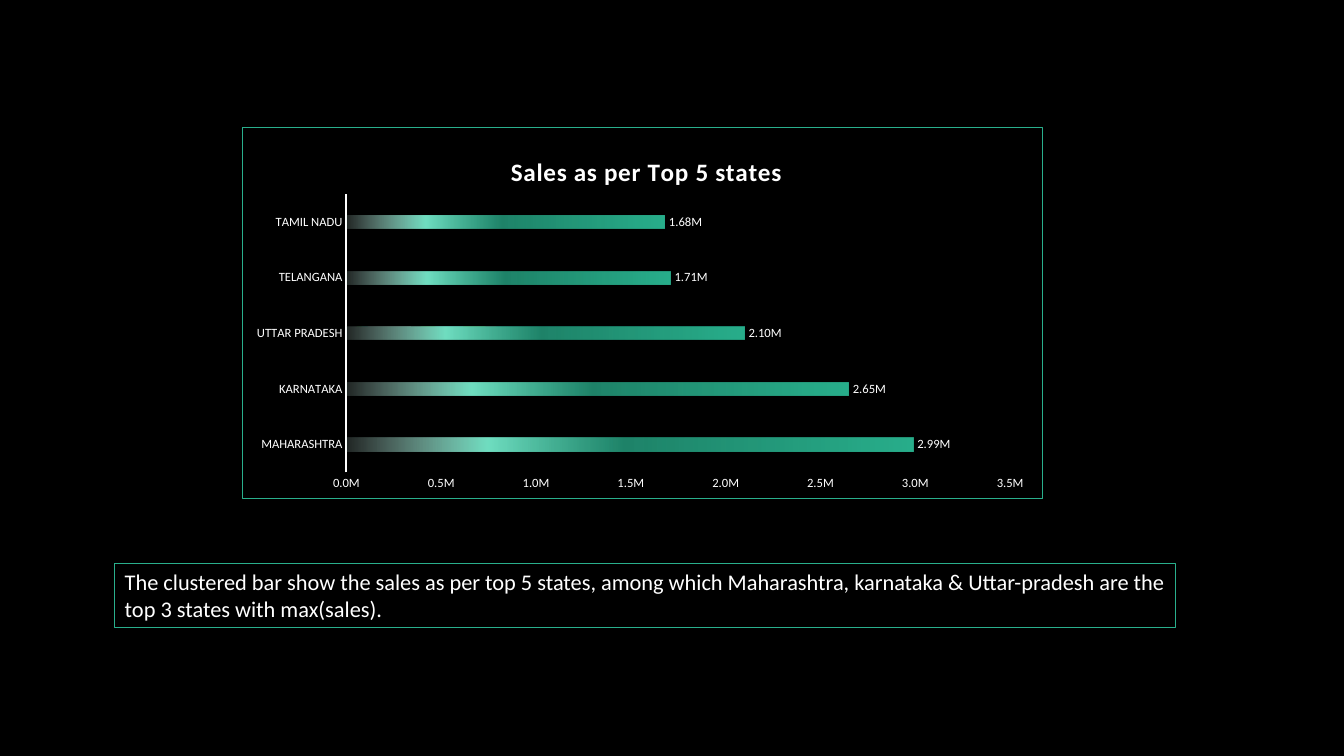
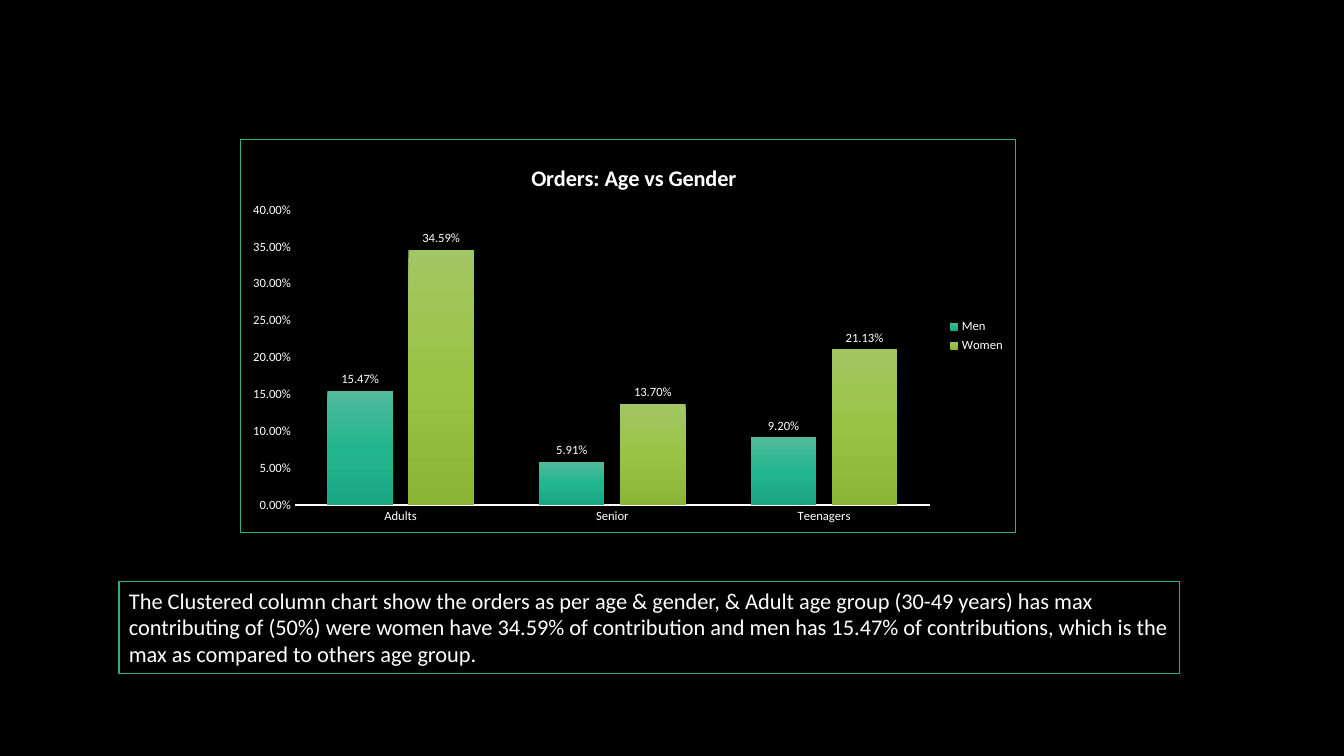
from dataclasses import dataclass

from pptx import Presentation
from pptx.chart.data import CategoryChartData
from pptx.dml.color import RGBColor
from pptx.enum import chart as ch, shapes, text
from pptx.oxml import ns, parse_xml
from pptx.util import Pt


@dataclass(frozen=True)
class Theme:
    font: str = "Calibri"
    back: str = "000000"
    ink: str = "FFFFFF"
    edge: str = "29AF8C"
    fade: tuple = ((0, "29AF8C", 100), (51, "29AF8C", 75),
                   (75, "70DEC1", 100), (100, "CFF4EA", 15))
    teal: tuple = ((0, "52BA9A", 100), (50, "22B68F", 100), (100, "19A782", 100))
    lime: tuple = ((0, "A2C664", 100), (50, "99C443", 100), (100, "8AB535", 100))
    note: int = 16
    base: int = 10
    small: int = 9
    thin: float = 0.75


class Deck:
    def __init__(self, theme):
        self.theme = theme
        self.prs = Presentation()
        self.prs.slide_width, self.prs.slide_height = Pt(960), Pt(540)
        self.slide = None

    def page(self):
        self.slide = self.prs.slides.add_slide(self.prs.slide_layouts[6])
        fill = self.slide.background.fill
        fill.solid()
        fill.fore_color.rgb = RGBColor.from_string(self.theme.back)

    def style(self, font, size, bold=False):
        font.name, font.size, font.bold = self.theme.font, Pt(size), bold
        font.color.rgb = RGBColor.from_string(self.theme.ink)

    def note(self, words, box):
        rect = self.slide.shapes.add_shape(shapes.MSO_SHAPE.RECTANGLE, *map(Pt, box))
        rect.shadow.inherit = False
        rect.fill.background()
        rect.line.color.rgb = RGBColor.from_string(self.theme.edge)
        rect.line.width = Pt(self.theme.thin)
        frame = rect.text_frame
        frame.word_wrap = True
        frame.auto_size = text.MSO_AUTO_SIZE.SHAPE_TO_FIT_TEXT
        frame.vertical_anchor = text.MSO_ANCHOR.TOP
        para = frame.paragraphs[0]
        para.alignment = text.PP_ALIGN.LEFT
        run = para.add_run()
        run.text = words
        self.style(run.font, self.theme.note)

    def chart(self, kind, box, cats, rows, gap, lap):
        data = CategoryChartData()
        data.categories = cats
        for name, vals, _ in rows:
            data.add_series(name, vals)
        chart = self.slide.shapes.add_chart(kind, *map(Pt, box), data).chart
        self.style(chart.font, self.theme.base)
        chart.has_legend = False
        self.frame(chart)
        plot = chart.plots[0]
        plot.gap_width, plot.overlap = gap, lap
        plot.vary_by_categories = False
        return chart

    def frame(self, chart):
        root = chart.element
        root.find(ns.qn("c:chart")).addnext(parse_xml(
            f'<c:spPr {ns.nsdecls("c", "a")}><a:noFill/>'
            f'<a:ln w="{Pt(self.theme.thin)}"><a:solidFill>'
            f'<a:srgbClr val="{self.theme.edge}"/></a:solidFill></a:ln></c:spPr>'))

    def place(self, part, **spots):
        modes = {f"{key}Mode": "edge" for key in "xy"}
        target = {"layoutTarget": "inner"} if "w" in spots else {}
        body = "".join(f'<c:{key} val="{val}"/>'
                       for key, val in {**target, **modes, **spots}.items())
        part.find(ns.qn("c:layout")).append(parse_xml(
            f'<c:manualLayout {ns.nsdecls("c")}>{body}</c:manualLayout>'))

    def title(self, chart, words, size, spot, track=0):
        title = chart.chart_title
        run = title.text_frame.paragraphs[0].add_run()
        run.text = words
        self.style(run.font, size, True)
        run.font._element.set("spc", str(track))
        title.include_in_layout = False
        self.place(title._element, x=spot[0], y=spot[1])

    def area(self, chart, x, y, w, h):
        part = chart.element.find(".//" + ns.qn("c:plotArea"))
        if part.find(ns.qn("c:layout")) is None:
            part.insert(0, parse_xml(f'<c:layout {ns.nsdecls("c")}/>'))
        self.place(part, x=x, y=y, w=w, h=h)

    def axes(self, chart, width, top, step, form):
        cat, val = chart.category_axis, chart.value_axis
        for axis in (cat, val):
            axis.has_major_gridlines = False
            axis.major_tick_mark = axis.minor_tick_mark = ch.XL_TICK_MARK.NONE
            self.style(axis.tick_labels.font, self.theme.small)
        cat.format.line.color.rgb = RGBColor.from_string(self.theme.ink)
        cat.format.line.width = Pt(width)
        val.format.line.fill.background()
        val.minimum_scale, val.maximum_scale, val.major_unit = 0, top, step
        val.tick_labels.number_format = form
        val.tick_labels.number_format_is_linked = False

    def bars(self, chart, rows, angle, form):
        for series, (_, _, stops) in zip(chart.plots[0].series, rows):
            body = "".join(
                f'<a:gs pos="{pos * 1000}"><a:srgbClr val="{tone}">'
                f'<a:alpha val="{alpha * 1000}"/></a:srgbClr></a:gs>'
                for pos, tone, alpha in stops)
            series._element.get_or_add_spPr().append(parse_xml(
                f'<a:gradFill {ns.nsdecls("a")}><a:gsLst>{body}</a:gsLst>'
                f'<a:lin ang="{angle * 60000}" scaled="0"/></a:gradFill>'))
            series.invert_if_negative = False
            tags = series.data_labels
            tags.show_value = True
            tags.position = ch.XL_LABEL_POSITION.OUTSIDE_END
            tags.number_format = form
            tags.number_format_is_linked = False
            self.style(tags.font, self.theme.small)

    def legend(self, chart):
        chart.has_legend = True
        chart.legend.position = ch.XL_LEGEND_POSITION.RIGHT
        chart.legend.include_in_layout = False
        self.style(chart.legend.font, self.theme.small)


def states(deck):
    deck.page()
    rows = [("Series 1", (2990000, 2650000, 2100000, 1710000, 1680000), deck.theme.fade)]
    cats = ["MAHARASHTRA", "KARNATAKA", "UTTAR PRADESH", "TELANGANA", "TAMIL NADU"]
    chart = deck.chart(ch.XL_CHART_TYPE.BAR_CLUSTERED, (172.8, 90.7, 572, 265.7),
                       cats, rows, 326, -58)
    deck.title(chart, "Sales as per Top 5 states", 18, (0.33, 0.06), 50)
    deck.area(chart, 0.13, 0.18, 0.83, 0.75)
    deck.axes(chart, 1.5, 3500000, 500000, '0.0,,"M"')
    deck.bars(chart, rows, 180, '0.00,,"M"')
    deck.note("The clustered bar show the sales as per top 5 states, among which "
              "Maharashtra, karnataka & Uttar-pradesh are the top 3 states with "
              "max(sales).", (82, 402.5, 757.5, 46))


def ages(deck):
    deck.page()
    rows = [("Men", (0.1547, 0.0591, 0.092), deck.theme.teal),
            ("Women", (0.3459, 0.137, 0.2113), deck.theme.lime)]
    chart = deck.chart(ch.XL_CHART_TYPE.COLUMN_CLUSTERED, (171.5, 99, 554, 282),
                       ["Adults", "Senior", "Teenagers"], rows, 100, -24)
    deck.title(chart, "Orders: Age vs Gender", 16, (0.37, 0.05))
    deck.area(chart, 0.07, 0.18, 0.82, 0.75)
    deck.axes(chart, 1, 0.4, 0.05, "0.00%")
    deck.bars(chart, rows, 90, "0.00%")
    deck.legend(chart)
    deck.note("The Clustered column chart show the orders as per age & gender, & Adult "
              "age group (30-49 years) has max contributing of (50%) were women have "
              "34.59% of contribution and men has 15.47% of contributions, which is the "
              "max as compared to others age group.", (85, 415.5, 757.5, 65.5))


def main():
    deck = Deck(Theme())
    states(deck)
    ages(deck)
    deck.prs.save("out.pptx")


if __name__ == "__main__":
    main()
